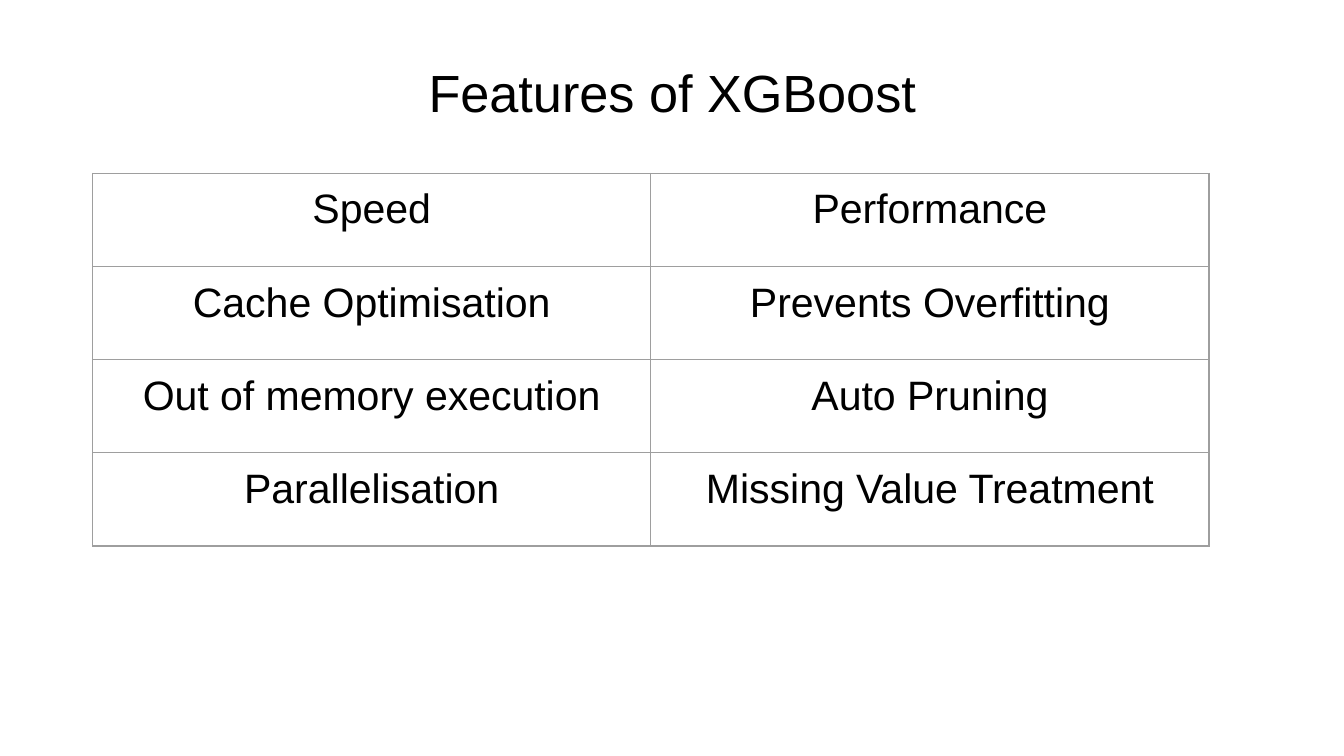
from lxml import etree
from pptx import Presentation
from pptx import util as u
from pptx.dml.color import RGBColor
from pptx.enum import text
from pptx.oxml.ns import qn

FONT = "Arial"
BLACK = "000000"
WHITE = "FFFFFF"
GREY = "9E9E9E"
INSET = u.Cm(0.25)

FEATURES = [
    ("Speed", "Performance"),
    ("Cache Optimisation", "Prevents Overfitting"),
    ("Out of memory execution", "Auto Pruning"),
    ("Parallelisation", "Missing Value Treatment"),
]


def color(hex_string):
    return RGBColor.from_string(hex_string)


def write_text(frame, content, size, fill=BLACK, align=text.PP_ALIGN.CENTER):
    paragraph = frame.paragraphs[0]
    paragraph.alignment = align
    run = paragraph.add_run()
    run.text = content
    run.font.name = FONT
    run.font.size = u.Pt(size)
    run.font.color.rgb = color(fill)


def set_margins(holder):
    """Give a text frame or a table cell the same inset on all four sides."""
    holder.margin_left = holder.margin_right = INSET
    holder.margin_top = holder.margin_bottom = INSET


def set_borders(cell, line_color, width):
    properties = cell._tc.get_or_add_tcPr()
    for position, side in enumerate(("lnL", "lnR", "lnT", "lnB")):
        line = etree.Element(qn(f"a:{side}"), w=str(u.Pt(width)))
        fill = etree.SubElement(line, qn("a:solidFill"))
        etree.SubElement(fill, qn("a:srgbClr"), val=line_color)
        properties.insert(position, line)


def add_title(slide, content):
    title = slide.shapes.title
    title.left, title.top = u.Cm(0.87), u.Cm(0.89)
    title.width, title.height = u.Cm(23.67), u.Cm(1.6)
    frame = title.text_frame
    frame.word_wrap = True
    frame.auto_size = text.MSO_AUTO_SIZE.NONE
    frame.vertical_anchor = text.MSO_ANCHOR.TOP
    set_margins(frame)
    write_text(frame, content, size=28)


def add_feature_table(slide, rows):
    column_count = len(rows[0])
    column_width, row_height = u.Cm(10.55), u.Cm(1.76)
    table = slide.shapes.add_table(
        len(rows), column_count, u.Cm(1.75), u.Cm(3.28),
        column_width * column_count, row_height * len(rows),
    ).table
    table.first_row = table.horz_banding = False
    for row, values in zip(table.rows, rows):
        for cell, value in zip(row.cells, values):
            cell.fill.solid()
            cell.fill.fore_color.rgb = color(WHITE)
            cell.vertical_anchor = text.MSO_ANCHOR.TOP
            set_margins(cell)
            set_borders(cell, GREY, width=0.75)
            write_text(cell.text_frame, value, size=22)


def main():
    presentation = Presentation()
    presentation.slide_width = u.Cm(25.4)
    presentation.slide_height = u.Cm(14.29)
    title_only = presentation.slide_layouts[5]
    slide = presentation.slides.add_slide(title_only)
    add_title(slide, "Features of XGBoost")
    add_feature_table(slide, FEATURES)
    presentation.save("out.pptx")


if __name__ == "__main__":
    main()
